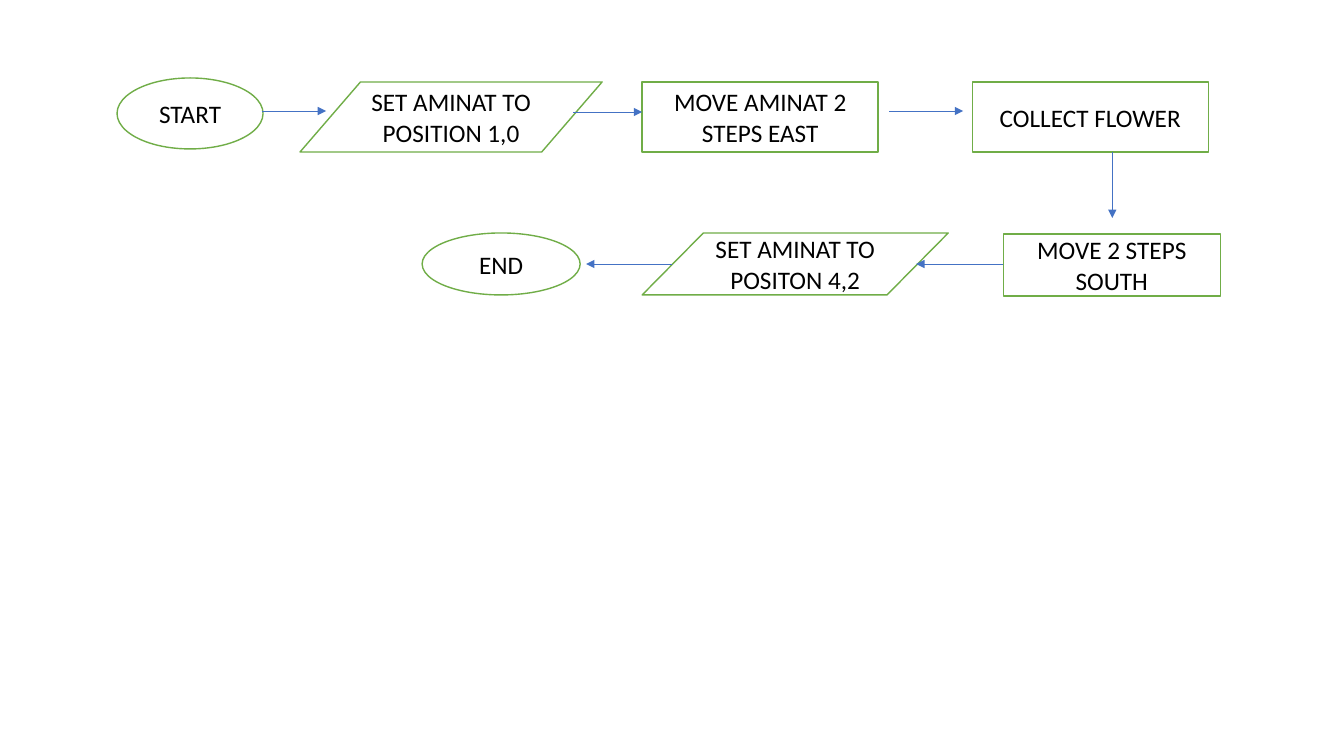
from lxml import etree
from pptx import Presentation
from pptx import util as u
from pptx.dml.color import RGBColor
from pptx.enum import shapes, text
from pptx.oxml.ns import qn

PIXEL = u.Inches(1) / 100.8
WHITE = RGBColor(0xFF, 0xFF, 0xFF)
BLACK = RGBColor(0x00, 0x00, 0x00)
GREEN = RGBColor(0x70, 0xAD, 0x47)
BLUE = RGBColor(0x44, 0x72, 0xC4)

TERMINAL = shapes.MSO_SHAPE.OVAL
DATA = shapes.MSO_SHAPE.FLOWCHART_DATA
PROCESS = shapes.MSO_SHAPE.RECTANGLE


def px(*lengths):
    return [u.Emu(round(length * PIXEL)) for length in lengths]


def add_step(slide, kind, label, left, top, width, height):
    step = slide.shapes.add_shape(kind, *px(left, top, width, height))
    step.shadow.inherit = False
    step.fill.solid()
    step.fill.fore_color.rgb = WHITE
    step.line.color.rgb = GREEN
    step.line.width = u.Pt(1)
    frame = step.text_frame
    frame.word_wrap = True
    frame.vertical_anchor = text.MSO_ANCHOR.MIDDLE
    paragraph = frame.paragraphs[0]
    paragraph.text = label
    paragraph.alignment = text.PP_ALIGN.CENTER
    paragraph.font.name = "Calibri"
    paragraph.font.size = u.Pt(18)
    paragraph.font.color.rgb = BLACK


def add_arrow(slide, x1, y1, x2, y2):
    arrow = slide.shapes.add_connector(
        shapes.MSO_CONNECTOR.STRAIGHT, *px(x1, y1, x2, y2))
    arrow.line.color.rgb = BLUE
    arrow.line.width = u.Pt(0.5)
    # Arrowhead at the far end, no shadow
    etree.SubElement(arrow.line._get_or_add_ln(), qn("a:tailEnd"), type="triangle")
    etree.SubElement(arrow._element.spPr, qn("a:effectLst"))


def draw_row(slide, box, steps, arrows):
    """Place one row of the flowchart; all offsets are from the box corner."""
    left, top = box
    for kind, label, x, y, width, height in steps:
        add_step(slide, kind, label, left + x, top + y, width, height)
    for x1, y1, x2, y2 in arrows:
        add_arrow(slide, left + x1, top + y1, left + x2, top + y2)


prs = Presentation()
prs.slide_width, prs.slide_height = u.Inches(13.33), u.Inches(7.5)
slide = prs.slides.add_slide(prs.slide_layouts[6])

# Upper row, left to right, then down
draw_row(slide, (117, 78), [
    (TERMINAL, "START", 0, 0, 146, 71),
    (DATA, "SET AMINAT TO POSITION 1,0", 183, 4, 302, 70),
    (PROCESS, "MOVE AMINAT 2 STEPS EAST", 525, 4, 236, 70),
    (PROCESS, "COLLECT FLOWER", 855, 4, 236, 70),
], [
    (145, 33, 209, 33),
    (456, 34, 525, 34),
    (772, 33, 846, 33),
    (995, 74, 995, 140),
])

# Lower row, right to left
draw_row(slide, (422, 233), [
    (PROCESS, "MOVE 2 STEPS SOUTH", 581, 1, 217, 62),
    (DATA, "SET AMINAT TO POSITON 4,2", 220, 0, 306, 62),
    (TERMINAL, "END", 0, 0, 158, 62),
], [
    (581, 31, 494, 31),
    (250, 31, 164, 31),
])

prs.save("out.pptx")
